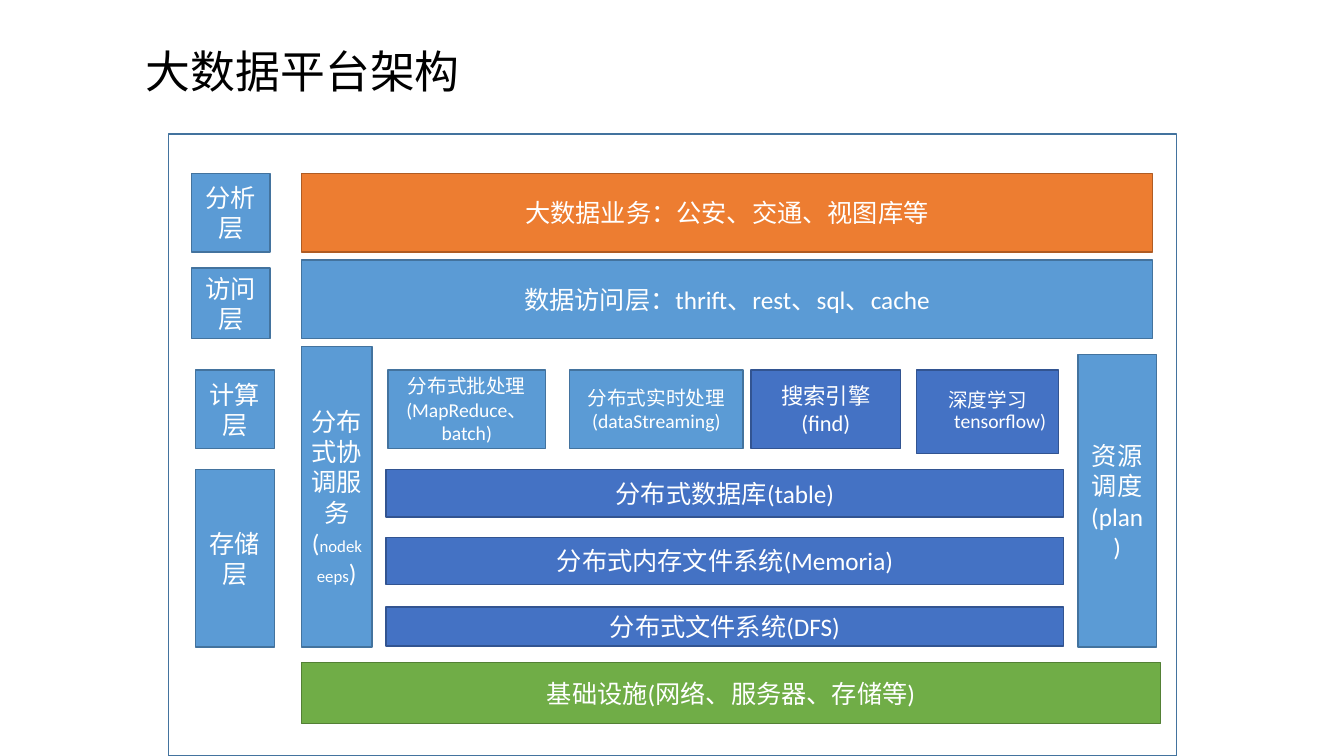
from pptx import Presentation
from pptx.dml.color import RGBColor
from pptx.enum.shapes import MSO_SHAPE
from pptx.enum.text import MSO_ANCHOR, PP_ALIGN
from pptx.util import Inches, Pt

BLUE = ("5B9BD5", "43739E")
INDIGO = ("4472C4", "325491")
ORANGE = ("ED7D31", "AF5C24")
GREEN = ("70AD47", "538035")


def color(hex_text):
    return RGBColor.from_string(hex_text)


def add_block(left, top, width, height, colors, text="", size=18):
    fill, line = colors
    block = page.shapes.add_shape(MSO_SHAPE.RECTANGLE, Inches(left), Inches(top),
                                  Inches(width), Inches(height))
    block.shadow.inherit = False
    if fill:
        block.fill.solid()
        block.fill.fore_color.rgb = color(fill)
    else:
        block.fill.background()
    block.line.color.rgb = color(line)
    block.line.width = Pt(1)
    block.text_frame.word_wrap = True
    block.text_frame.vertical_anchor = MSO_ANCHOR.MIDDLE
    para = block.text_frame.paragraphs[0]
    para.alignment = PP_ALIGN.CENTER
    para.font.name = "Calibri"
    para.font.size = Pt(size)
    para.font.color.rgb = color("FFFFFF")
    if text:
        para.add_run().text = text
    return para


deck = Presentation()
deck.slide_width = Inches(13.33)
deck.slide_height = Inches(7.5)
page = deck.slides.add_slide(deck.slide_layouts[6])

# Title
title = page.shapes.add_textbox(Inches(1.35), Inches(0.3), Inches(9), Inches(0.87))
title.text_frame.word_wrap = True
title.text_frame.vertical_anchor = MSO_ANCHOR.MIDDLE
heading = title.text_frame.paragraphs[0]
heading.text = "大数据平台架构"
heading.line_spacing = 0.9
heading.font.name = "Calibri"
heading.font.size = Pt(32)
heading.font.color.rgb = color("000000")

# Platform frame
add_block(1.67, 1.33, 10, 6.17, (None, "43739E"))

# Layer names on the left
for left, top, height, name in [
    (1.9, 1.72, 0.78, "分析层"),
    (1.9, 2.66, 0.7, "访问层"),
    (1.94, 3.67, 0.78, "计算层"),
    (1.94, 4.66, 1.76, "存储层"),
]:
    add_block(left, top, 0.78, height, BLUE, name)

# Full-width bands
for top, width, height, colors, text in [
    (1.72, 8.44, 0.78, ORANGE, "大数据业务：公安、交通、视图库等"),
    (2.58, 8.44, 0.78, BLUE, "数据访问层：thrift、rest、sql、cache"),
    (6.57, 8.52, 0.61, GREEN, "基础设施(网络、服务器、存储等)"),
]:
    add_block(2.99, top, width, height, colors, text)

# Storage bands
for top, height, text in [
    (4.66, 0.47, "分布式数据库(table)"),
    (5.33, 0.47, "分布式内存文件系统(Memoria)"),
    (6.02, 0.39, "分布式文件系统(DFS)"),
]:
    add_block(3.83, top, 6.72, height, INDIGO, text)

# Computing engines
for left, width, colors, text, size in [
    (3.85, 1.56, BLUE, "分布式批处理(MapReduce、batch)", 14),
    (5.65, 1.72, BLUE, "分布式实时处理(dataStreaming)", 14),
    (7.45, 1.48, INDIGO, "搜索引擎(find)", 16),
]:
    add_block(left, 3.67, width, 0.78, colors, text, size)

learning = add_block(9.09, 3.67, 1.41, 0.83, INDIGO, "深度学习tensorflow)", 14)
learning.line_spacing = 0.9
learning.space_before = Pt(10)
indents = learning._p.get_or_add_pPr()
indents.set("marL", str(Inches(0.25)))
indents.set("indent", str(Inches(-0.25)))

# Vertical services
add_block(10.69, 3.52, 0.78, 2.9, BLUE, "资源调度(plan)")
coordination = add_block(2.99, 3.44, 0.7, 2.98, BLUE)
for text, size in [("分布式协调服务(", 18), ("nodekeeps", 12), (")", 18)]:
    span = coordination.add_run()
    span.text = text
    span.font.size = Pt(size)

deck.save("out.pptx")
